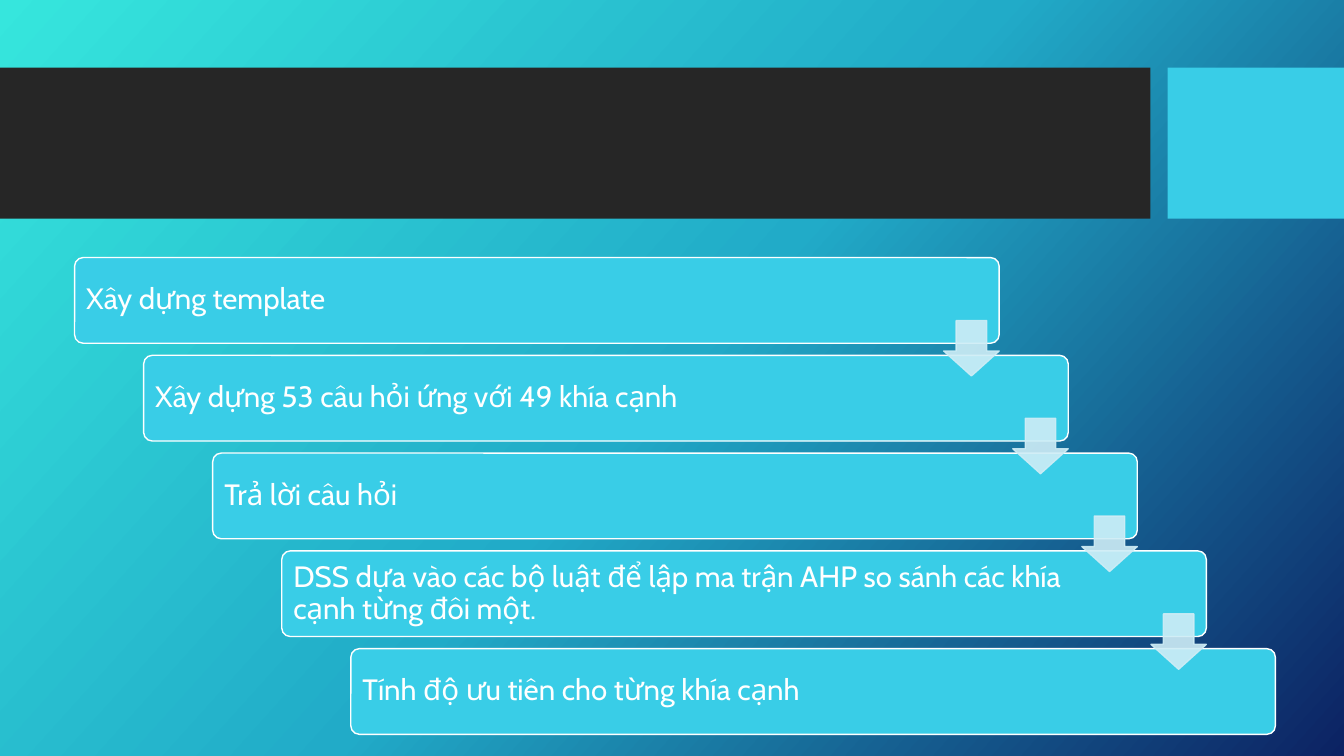
from copy import deepcopy
from dataclasses import dataclass

from lxml.etree import SubElement
from pptx import Presentation
from pptx.dml.color import RGBColor
from pptx.enum.shapes import MSO_SHAPE
from pptx.enum.text import MSO_ANCHOR, PP_ALIGN
from pptx.oxml.ns import qn
from pptx.util import Inches, Pt


@dataclass(frozen=True)
class Theme:
    gradient: tuple = ((0, "36E6DD"), (0.5, "21ABC8"), (1, "0C2263"))
    band: str = "262626"
    accent: str = "39CDE7"
    arrow: str = "CEEDF6"
    white: str = "FFFFFF"
    font: str = "Cabin"
    text_size: int = 21
    line_width: int = 1


theme = Theme()
STEPS = [
    "Xây dựng template",
    "Xây dựng 53 câu hỏi ứng với 49 khía cạnh",
    "Trả lời câu hỏi",
    "DSS dựa vào các bộ luật để lập ma trận AHP so sánh các khía cạnh từng đôi một.",
    "Tính độ ưu tiên cho từng khía cạnh",
]
STEP_RIGHT, STEP_DOWN = 0.685, 0.97

deck = Presentation()
deck.slide_width, deck.slide_height = Inches(13.33), Inches(7.5)
page = deck.slides.add_slide(deck.slide_layouts[6])


def add_block(kind, left, top, width, height, color, line_color=None):
    block = page.shapes.add_shape(
        kind, Inches(left), Inches(top), Inches(width), Inches(height))
    block.shadow.inherit = False
    block.fill.solid()
    block.fill.fore_color.rgb = RGBColor.from_string(color)
    if line_color:
        block.line.color.rgb = RGBColor.from_string(line_color)
        block.line.width = Pt(theme.line_width)
    else:
        block.line.fill.background()
    return block


# Background gradient with three stops
background = page.background.fill
background.gradient()
background.gradient_angle = 360 - 42
stop_list = page.element.find(".//" + qn("a:gsLst"))
stop_list.append(deepcopy(stop_list[-1]))
for stop, (position, color) in zip(background.gradient_stops, theme.gradient):
    stop.position = position
    stop.color.rgb = RGBColor.from_string(color)

# Title band
add_block(MSO_SHAPE.RECTANGLE, 0, 0.67, 11.41, 1.5, theme.band)
add_block(MSO_SHAPE.RECTANGLE, 11.58, 0.67, 1.75, 1.5, theme.accent)

# Staircase of steps
for index, step in enumerate(STEPS):
    box = add_block(
        MSO_SHAPE.ROUNDED_RECTANGLE, 0.74 + index * STEP_RIGHT,
        2.555 + index * STEP_DOWN, 9.17, 0.85, theme.accent, theme.white)
    box.adjustments[0] = 0.1
    frame = box.text_frame
    frame.word_wrap = True
    frame.vertical_anchor = MSO_ANCHOR.MIDDLE
    frame.margin_left = frame.margin_top = frame.margin_bottom = Inches(0.09)
    frame.margin_right = Inches(1.2)
    frame.text = step
    para = frame.paragraphs[0]
    para.alignment = PP_ALIGN.LEFT
    para.line_spacing = 0.9
    span = para.runs[0]
    span.font.name = theme.font
    span.font.size = Pt(theme.text_size)
    span.font.color.rgb = RGBColor.from_string(theme.white)

# Arrows leading from each step to the next
for index in range(len(STEPS) - 1):
    arrow = add_block(
        MSO_SHAPE.DOWN_ARROW, 9.36 + index * STEP_RIGHT,
        3.18 + index * STEP_DOWN, 0.55, 0.55, theme.arrow, theme.arrow)
    arrow.adjustments[0] = 0.55
    arrow.adjustments[1] = 0.45
    for color in arrow.element.spPr.iter(qn("a:srgbClr")):
        SubElement(color, qn("a:alpha"), val="90000")

deck.save("out.pptx")
